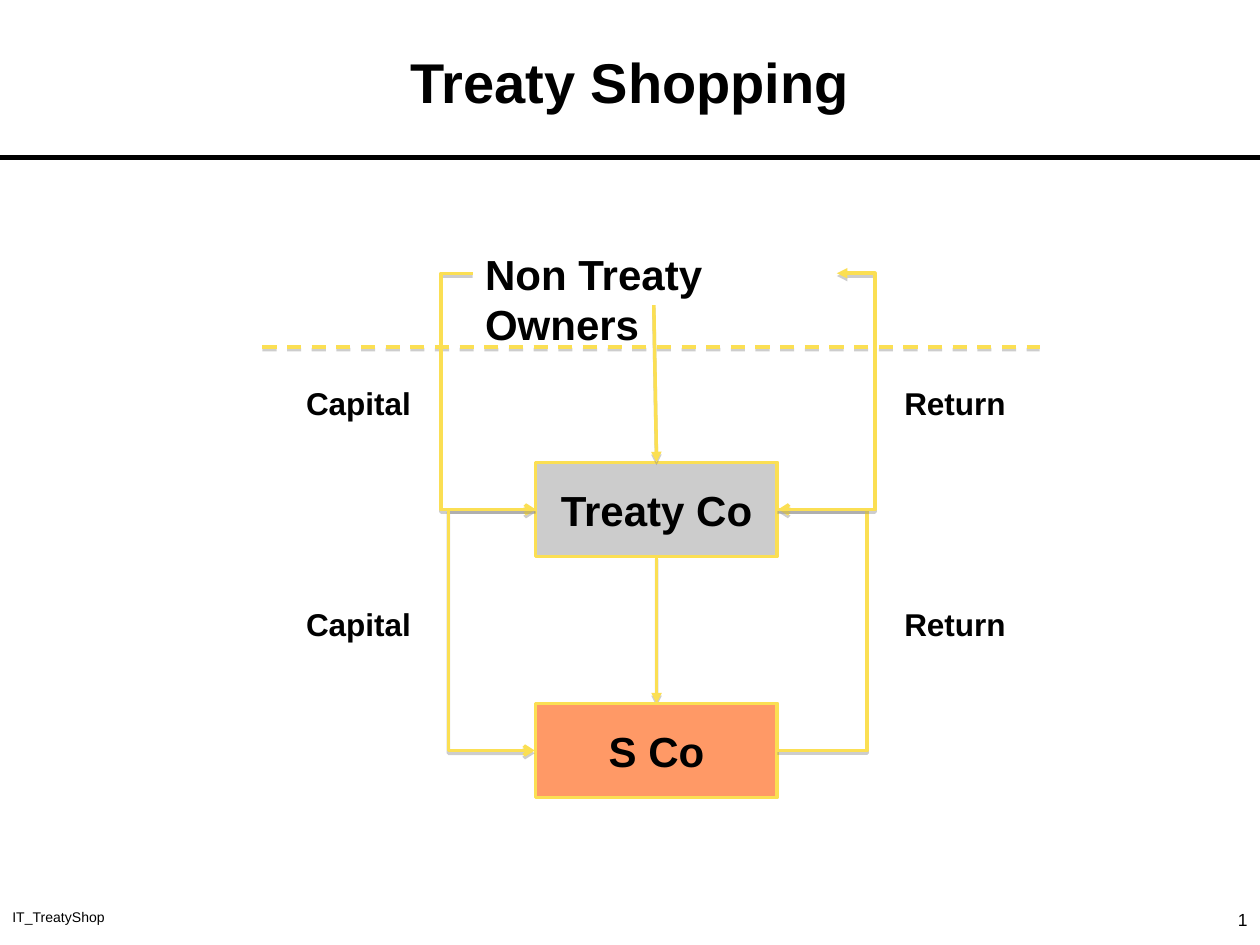
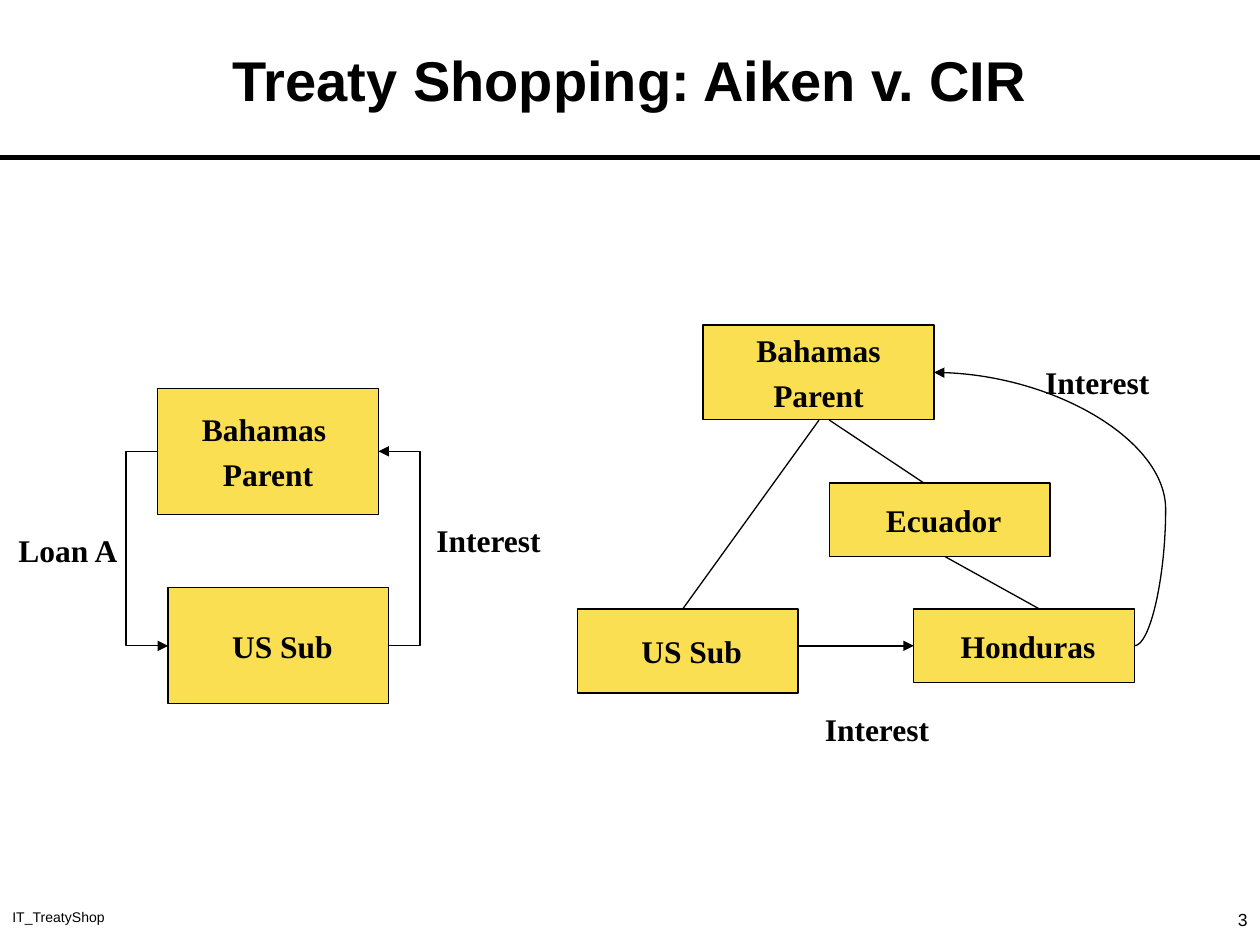
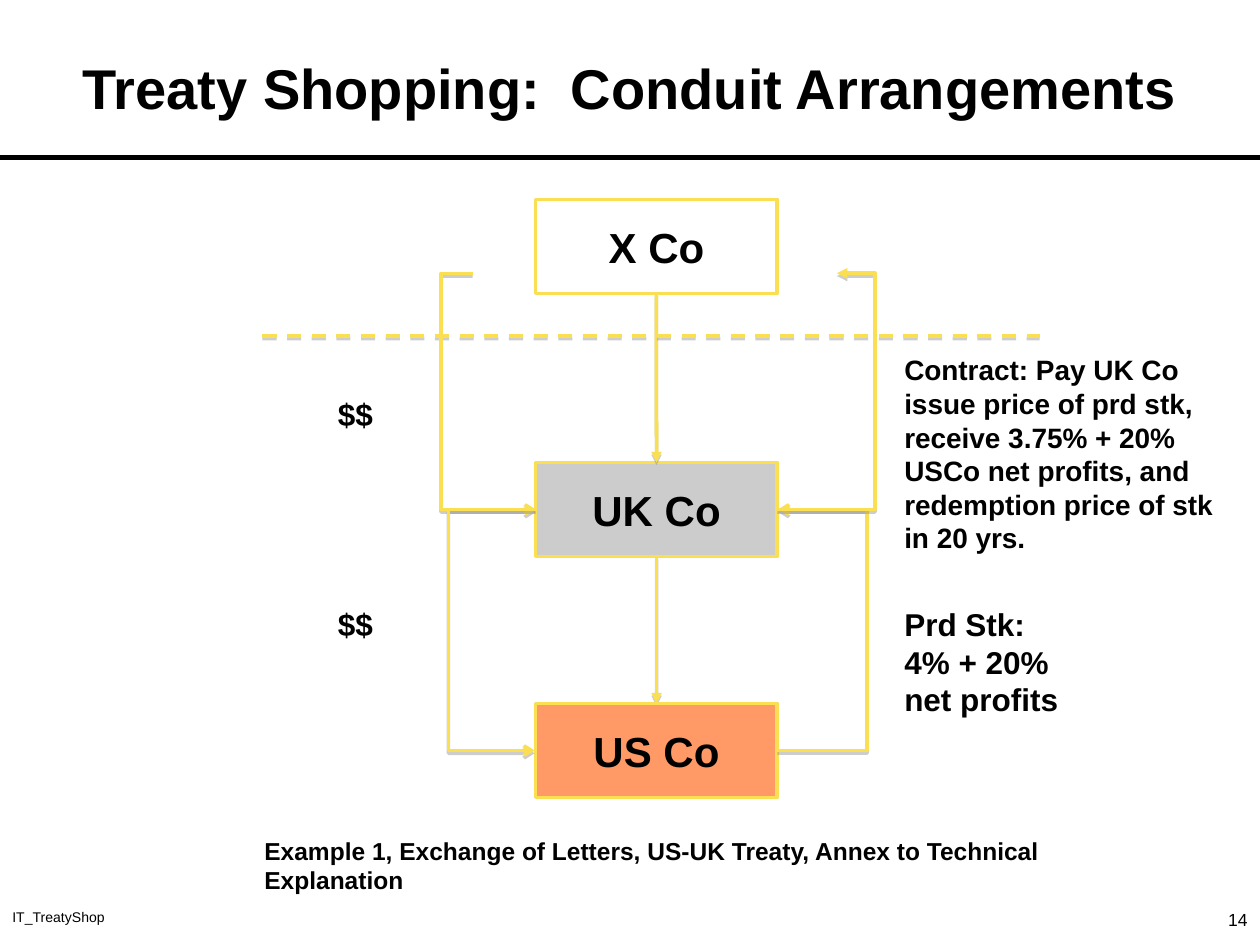
"""Build three slides on treaty shopping structures."""
from lxml.etree import SubElement
from pptx import Presentation
from pptx.dml.color import RGBColor
from pptx.enum.dml import MSO_LINE
from pptx.enum.shapes import MSO_CONNECTOR as LINK, MSO_SHAPE
from pptx.enum.text import MSO_ANCHOR as ANCHOR, MSO_AUTO_SIZE, PP_ALIGN as ALIGN
from pptx.oxml.ns import qn
from pptx.util import Cm, Pt

COLORS = {"ink": "000000", "gold": "FBDF53", "grey": "CCCCCC",
          "orange": "FF9966", "white": "FFFFFF", "shadow": "808080"}
SANS, SERIF = "Arial", "Times New Roman"


def color(name):
    return RGBColor.from_string(COLORS[name])


class Page:
    """Hold the style and the current slide."""

    def __init__(self, deck, font, stroke, weight, shadow):
        self.deck = deck
        self.font, self.stroke, self.weight, self.shadow = font, stroke, weight, shadow

    def start(self, title, number, area):
        self.slide = self.deck.slides.add_slide(self.deck.slide_layouts[5])
        box = self.slide.shapes.title
        box.left, box.top, box.width, box.height = map(Cm, area)
        self.set_text(box, title, 32, SANS, ALIGN.CENTER)
        box.text_frame.vertical_anchor = ANCHOR.MIDDLE
        box.text_frame.auto_size = MSO_AUTO_SIZE.NONE
        self.link((0, 3.18), (25.4, 3.18), stroke="ink", weight=3, shadow=False)
        self.label("IT_TreatyShop", (0, 18.2, 8.05, 0.64), 8, SANS, bold=False)
        box = self.label(str(number), (19.48, 17.73, 5.92, 1.32), 10, SANS,
                         ALIGN.RIGHT, bold=False)
        box.text_frame.vertical_anchor = ANCHOR.BOTTOM
        box.text_frame.margin_bottom = Cm(0.3)

    def set_text(self, shape, text, size, font=None, align=ALIGN.LEFT, bold=True, gap=0):
        shape.text_frame.text = text
        for para in shape.text_frame.paragraphs:
            para.alignment = align
            para.space_before = Pt(gap)
            for span in para.runs:
                span.font.name = font or self.font
                span.font.size = Pt(size)
                span.font.bold = bold
                span.font.color.rgb = color("ink")

    def label(self, text, area, size=18, font=None, align=ALIGN.LEFT, bold=True):
        box = self.slide.shapes.add_textbox(*map(Cm, area))
        box.text_frame.word_wrap = True
        self.set_text(box, text, size, font, align, bold)
        return box

    def box(self, text, area, fill, size, gap=0, wrap=True):
        box = self.slide.shapes.add_shape(MSO_SHAPE.RECTANGLE, *map(Cm, area))
        box.shadow.inherit = False
        box.fill.solid()
        box.fill.fore_color.rgb = color(fill)
        box.line.color.rgb = color(self.stroke)
        box.line.width = Pt(self.weight)
        box.text_frame.word_wrap = wrap
        box.text_frame.vertical_anchor = ANCHOR.MIDDLE
        self.set_text(box, text, size, align=ALIGN.CENTER, gap=gap)

    def link(self, start, end, head=None, bend=None, kind=LINK.STRAIGHT,
             dashed=False, stroke=None, weight=None, shadow=None):
        link = self.slide.shapes.add_connector(kind, *map(Cm, start + end))
        link.line.color.rgb = color(stroke or self.stroke)
        link.line.width = Pt(weight or self.weight)
        if dashed:
            link.line.dash_style = MSO_LINE.DASH
        properties = link.element.spPr
        if head:
            SubElement(properties.find(qn("a:ln")), qn("a:tailEnd"), type=head)
        if bend is not None:
            ratio = (bend - start[0]) / (end[0] - start[0])
            guides = properties.find(qn("a:prstGeom")).find(qn("a:avLst"))
            SubElement(guides, qn("a:gd"), name="adj1", fmla=f"val {round(ratio * 100000)}")
        effects = SubElement(properties, qn("a:effectLst"))
        if self.shadow if shadow is None else shadow:
            cast = SubElement(effects, qn("a:outerShdw"), blurRad="0", dist="20000",
                              dir="5400000", rotWithShape="0")
            tint = SubElement(cast, qn("a:srgbClr"), val=COLORS["shadow"])
            SubElement(tint, qn("a:alpha"), val="38000")

    def elbow(self, start, end, bend, head="triangle"):
        self.link(start, end, head, bend, LINK.ELBOW)

    def conduit(self, middle, bottom, border, owner_end):
        left, width, height = 10.8, 4.87, 1.9
        right, center = left + width, left + width / 2
        middle_top, bottom_top, owner = 9.32, 14.18, 5.51
        middle_row, bottom_row = middle_top + height / 2, bottom_top + height / 2
        self.link((center, middle_top + height), (center, bottom_top), "triangle")
        self.box(bottom, (left, bottom_top, width, height), "orange", 24)
        self.box(middle, (left, middle_top, width, height), "grey", 24)
        self.link(owner_end, (center, middle_top), "triangle")
        self.link((5.29, border), (20.96, border), dashed=True)
        self.elbow((9.53, owner), (left, middle_row), 8.89, "arrow")
        self.elbow((left, middle_row), (left - 0.02, bottom_row), 9.04, "arrow")
        self.elbow((right, bottom_row), (right + 0.02, middle_row), 17.48, "arrow")
        self.elbow((right, middle_row), (16.87, owner), 17.64)


deck = Presentation()
deck.slide_width, deck.slide_height = Cm(25.4), Cm(19.05)

page = Page(deck, SANS, "gold", 2, True)
page.start("Treaty Shopping", 1, (1.27, 0.64, 22.86, 1.98))
page.label("Non Treaty Owners", (9.53, 4.88, 7.34, 1.3), 24)
page.conduit("Treaty Co", "S Co", 6.99, (13.18, 6.15))
for text, left in (("Capital", 5.92), ("Return", 17.98)):
    for top in (7.62, 12.07):
        page.label(text, (left, top, 2.97, 1.07))

page = Page(deck, SERIF, "ink", 0.75, False)
page.start("Treaty Shopping: Aiken v. CIR", 3, (0, 0, 25.4, 3.18))
for text, area in (
    ("Bahamas\nParent", (14.17, 6.55, 4.66, 1.91)),
    (" US Sub", (3.39, 11.85, 4.45, 2.33)),
    ("Bahamas \nParent", (3.18, 7.83, 4.45, 2.54)),
    (" US Sub", (11.64, 12.28, 4.45, 1.69)),
    (" Honduras", (18.42, 12.28, 4.45, 1.48)),
    (" Ecuador", (16.72, 9.74, 4.45, 1.48)),
):
    page.box(text, area, "gold", 18, gap=4, wrap=False)
page.elbow((3.18, 9.1), (3.39, 13.02), 2.54)
page.elbow((7.84, 13.02), (7.63, 9.1), 8.47)
for start, end in (((16.51, 8.47), (13.76, 12.28)), ((16.72, 8.47), (18.63, 9.74)),
                   ((19.05, 11.22), (20.96, 12.28))):
    page.link(start, end)
page.link((16.09, 13.02), (18.42, 13.02), "triangle")
page.link((22.87, 13.02), (18.83, 7.51), "triangle", 23.5, LINK.CURVE)
for text, left, top in (("Loan A", -0.43, 10.58), ("Interest", 20.32, 7.2),
                        ("Interest", 8.05, 10.37), ("Interest", 15.88, 14.18)):
    page.label(text, (left, top, 3.6, 1.02), align=ALIGN.CENTER)

page = Page(deck, SANS, "gold", 2, True)
page.start("Treaty Shopping:  Conduit Arrangements", 14, (1.27, 0.76, 22.86, 1.98))
page.conduit("UK Co", "US Co", 6.77, (13.23, 5.94))
page.box("X Co", (10.8, 4.02, 4.87, 1.9), "white", 24)
for top in (7.83, 12.07):
    page.label("$$", (6.56, top, 2.33, 1.07))
page.label("Contract: Pay UK Co issue price of prd stk, receive 3.75% + 20% USCo "
           "net profits, and redemption price of stk in 20 yrs.",
           (17.98, 6.99, 6.78, 3.68), 16)
page.label("Prd Stk: 4% + 20% net profits", (17.98, 12.07, 4.02, 2.57))
page.label("Example 1, Exchange of Letters, US-UK Treaty, Annex to Technical Explanation",
           (5.08, 16.72, 16.94, 0.86), 14)

deck.save("out.pptx")
